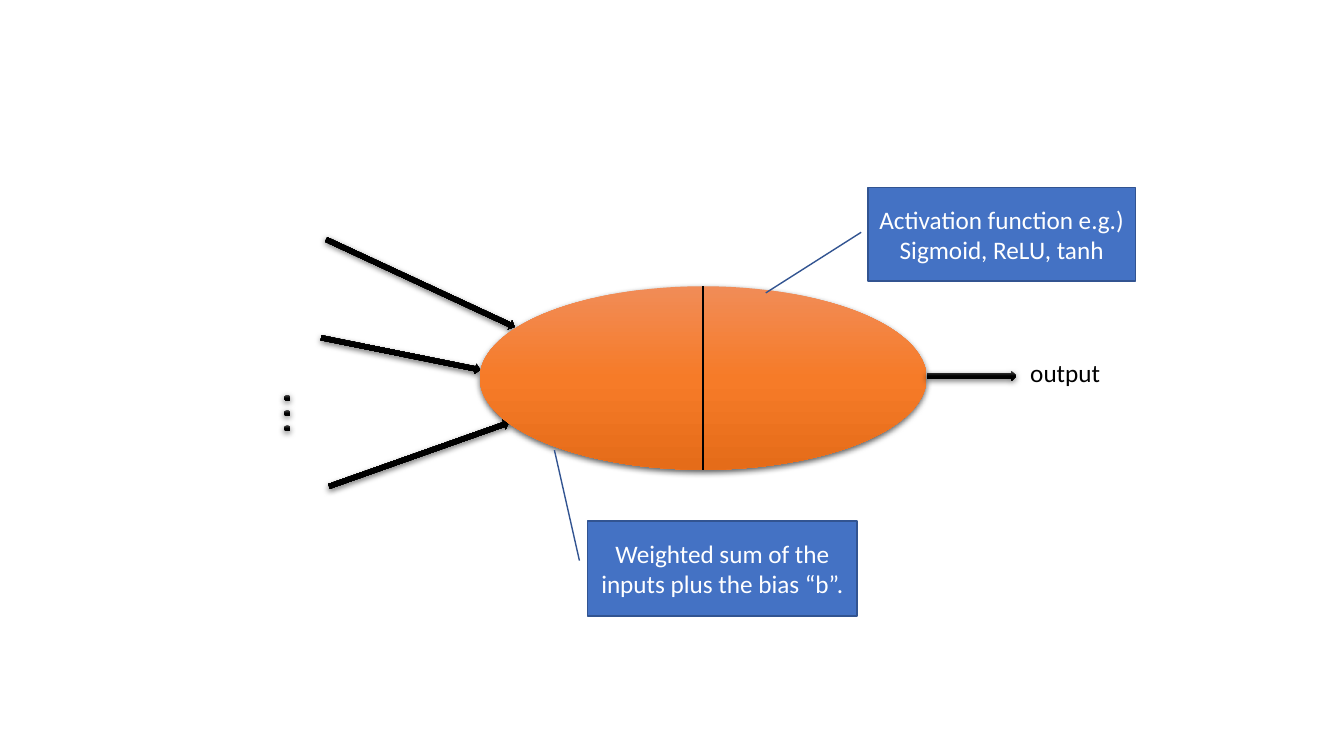
from copy import deepcopy
from dataclasses import dataclass

from lxml import etree
from pptx import Presentation
from pptx import util as u
from pptx.dml.color import RGBColor
from pptx.enum import shapes, text
from pptx.oxml import ns

PX = 9144
FONT = "Calibri"
COLORS = {
    "black": "000000",
    "white": "FFFFFF",
    "callout": "4472C4",
    "callout_edge": "325491",
}
DARK = ("4B4B4B", "000000", "000000")
ORANGE = ("F18C57", "F67B28", "E56C19")


@dataclass(frozen=True)
class Solid:
    kind: shapes.MSO_SHAPE
    left: int
    top: int
    width: int
    height: int
    stops: tuple[str, str, str] = DARK
    rotation: float = 0


@dataclass(frozen=True)
class Callout:
    left: int
    top: int
    width: int
    height: int
    pointer: tuple[float, float, float, float]
    words: str


ARROW = shapes.MSO_SHAPE.RIGHT_ARROW
OVAL = shapes.MSO_SHAPE.OVAL
NEURON = Solid(OVAL, 476, 284, 443, 182, ORANGE)
INPUT_ARROWS = (
    Solid(ARROW, 317, 346, 161, 10, rotation=11.4),
    Solid(ARROW, 314, 276, 206, 10, rotation=24.9),
    Solid(ARROW, 321, 446, 189, 10, rotation=340.5),
)
OUTPUT_ARROW = Solid(ARROW, NEURON.left + NEURON.width, 368, 89, 10)
DOTS = tuple(Solid(OVAL, 282, 392 + 15 * row, 6, 6) for row in range(3))
CALLOUTS = (
    Callout(861, 186, 265, 93, (0.479, -0.026, 1.125, -0.383),
            "Activation function e.g.) Sigmoid, ReLU, tanh"),
    Callout(583, 517, 267, 94, (0.417, -0.031, -0.749, -0.124),
            "Weighted sum of the inputs plus the bias “b”."),
)


def px(*lengths: int) -> list[int]:
    return [length * PX for length in lengths]


def color(name: str) -> RGBColor:
    return RGBColor.from_string(COLORS[name])


def add_shadow(shape) -> None:
    shape.shadow.inherit = False
    effects = shape._element.spPr.find(ns.qn("a:effectLst"))
    shadow = etree.SubElement(
        effects, ns.qn("a:outerShdw"), blurRad=str(u.Pt(4.5)),
        dist=str(u.Pt(1.5)), dir="5400000", algn="ctr", rotWithShape="0")
    tone = etree.SubElement(shadow, ns.qn("a:srgbClr"), val=COLORS["black"])
    etree.SubElement(tone, ns.qn("a:alpha"), val="63000")


def add_solid(page, item: Solid) -> None:
    shape = page.shapes.add_shape(
        item.kind, *px(item.left, item.top, item.width, item.height))
    shape.rotation = item.rotation
    shape.line.fill.background()
    shape.fill.gradient()
    shape.fill.gradient_angle = 270
    stop_list = shape._element.spPr.find(".//" + ns.qn("a:gsLst"))
    stop_list.append(deepcopy(stop_list[0]))
    for index, stop in enumerate(shape.fill.gradient_stops):
        stop.position = index / 2
        stop.color.rgb = RGBColor.from_string(item.stops[index])
    add_shadow(shape)


def add_words(para, words: str, color_name: str) -> None:
    span = para.add_run()
    span.text = words
    span.font.name = FONT
    span.font.size = u.Pt(18)
    span.font.color.rgb = color(color_name)


def add_divider(page) -> None:
    middle = NEURON.left + NEURON.width // 2
    line = page.shapes.add_connector(
        shapes.MSO_CONNECTOR.STRAIGHT,
        *px(middle, NEURON.top, middle, NEURON.top + NEURON.height))
    line.line.color.rgb = color("black")
    line.line.width = u.Pt(1.5)
    etree.SubElement(line._element.spPr, ns.qn("a:effectLst"))


def add_output_label(page) -> None:
    box = page.shapes.add_textbox(*px(1012, 350, 90, 40))
    box.text_frame.word_wrap = False
    box.text_frame.auto_size = text.MSO_AUTO_SIZE.SHAPE_TO_FIT_TEXT
    add_words(box.text_frame.paragraphs[0], "output", "black")


def add_callout(page, item: Callout) -> None:
    box = page.shapes.add_shape(
        shapes.MSO_SHAPE.LINE_CALLOUT_1,
        *px(item.left, item.top, item.width, item.height))
    box.shadow.inherit = False
    for index, value in enumerate(item.pointer):
        box.adjustments[index] = value
    box.fill.solid()
    box.fill.fore_color.rgb = color("callout")
    box.line.color.rgb = color("callout_edge")
    box.line.width = u.Pt(1)
    box.text_frame.word_wrap = True
    box.text_frame.vertical_anchor = text.MSO_ANCHOR.MIDDLE
    para = box.text_frame.paragraphs[0]
    para.alignment = text.PP_ALIGN.CENTER
    add_words(para, item.words, "white")


def main() -> None:
    deck = Presentation()
    deck.slide_width, deck.slide_height = px(1333, 750)
    page = deck.slides.add_slide(deck.slide_layouts[6])
    for item in (*INPUT_ARROWS, NEURON):
        add_solid(page, item)
    add_divider(page)
    add_solid(page, OUTPUT_ARROW)
    add_output_label(page)
    for dot in DOTS:
        add_solid(page, dot)
    for callout in CALLOUTS:
        add_callout(page, callout)
    deck.save("out.pptx")


if __name__ == "__main__":
    main()
